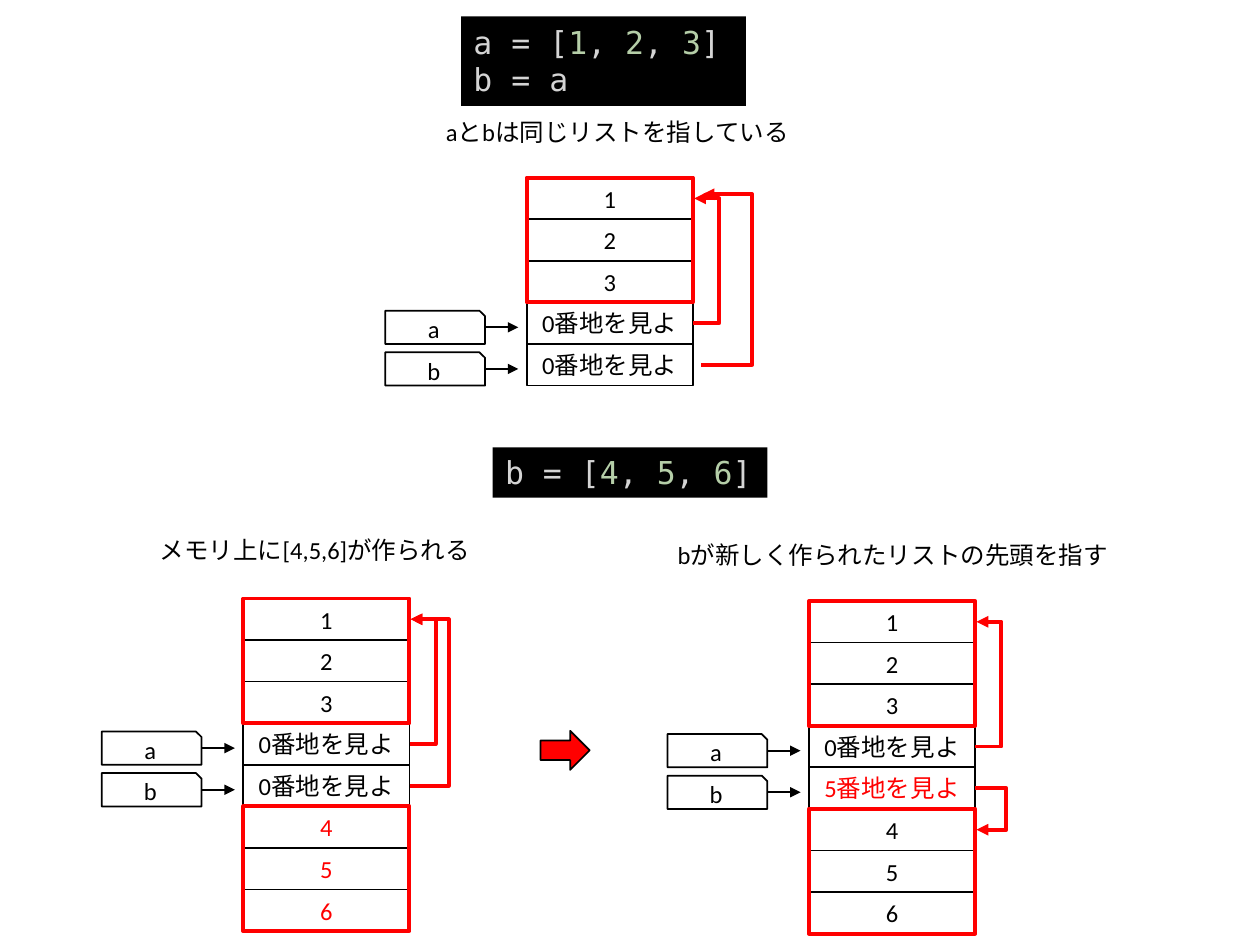
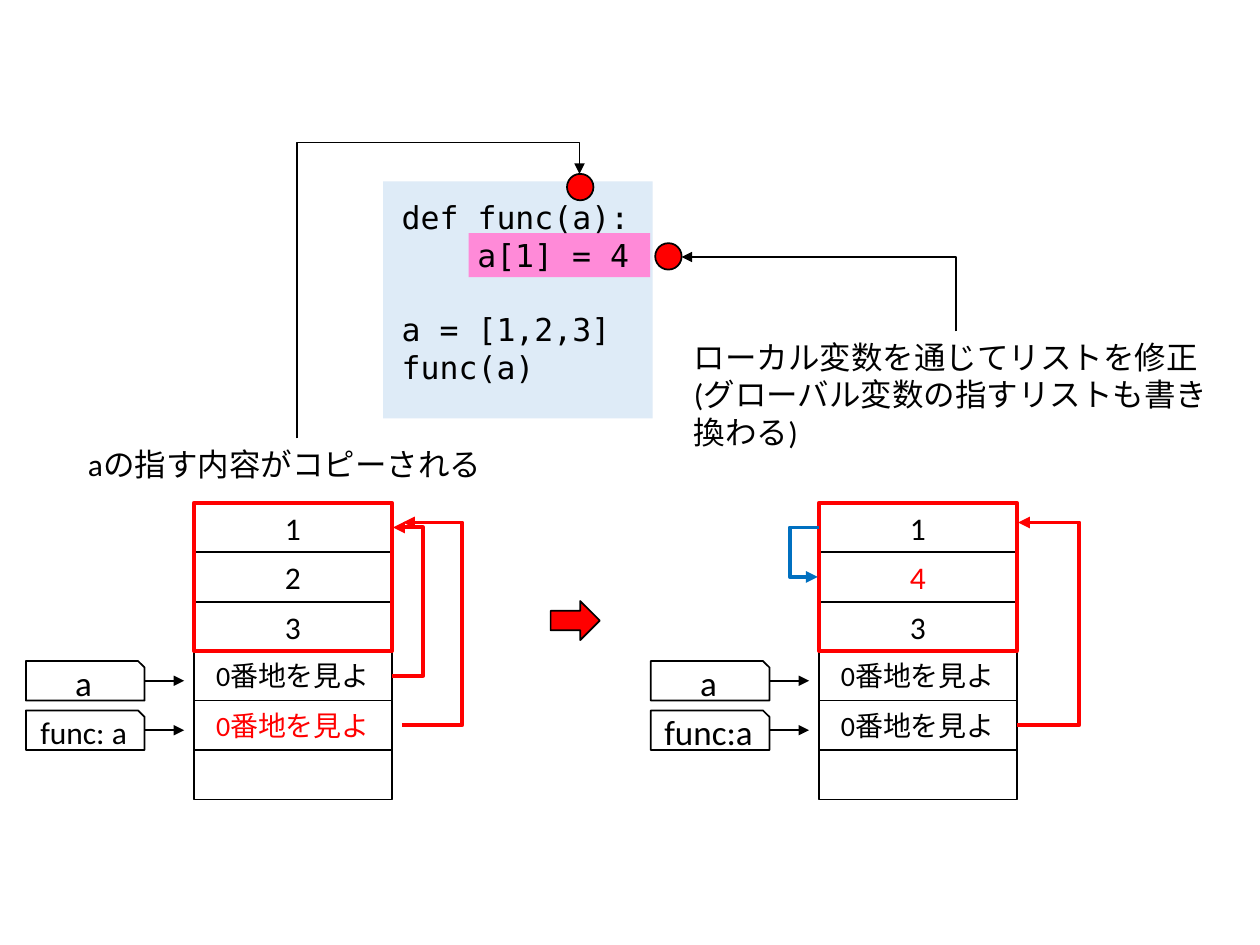
from itertools import groupby

from lxml.etree import SubElement
from pptx import Presentation
from pptx.dml.color import RGBColor
from pptx.enum.shapes import MSO_CONNECTOR, MSO_SHAPE
from pptx.enum.text import MSO_ANCHOR, PP_ALIGN
from pptx.oxml.ns import qn
from pptx.util import Inches, Pt

BLACK, WHITE, RED, BLUE = "000000", "FFFFFF", "FF0000", "0070C0"
CODE_TEXT, CODE_NUMBER = "D4D4D4", "B5CEA8"
CODE_PANEL, CODE_HIGHLIGHT = "DEEBF7", "FF8AD8"
BODY_FONT, CODE_FONT = "Calibri", "DejaVu Sans Mono"
THIN, THICK = 1, 2.25

ROW = 0.25
TAG_LEFT, TAG_WIDTH, TAG_HEIGHT, TAG_DROP = 0.85, 0.6, 0.2, 0.05
ARROW_GAP = 0.05
POINTER_SHIFT, POINTER_LIFT = 0.05, 0.025
ELBOW_RUN = 0.01
VERTICAL_ROTATION = 270 * 60000


def color(value):
    return RGBColor.from_string(value)


def add_run(paragraph, text, size, ink=BLACK, font=BODY_FONT):
    run = paragraph.add_run()
    run.text = text
    run.font.size = Pt(size)
    run.font.name = font
    run.font.color.rgb = color(ink)


def add_box(slide, preset, left, top, width, height, fill=None, line=None, weight=THIN):
    shape = slide.shapes.add_shape(preset, *map(Inches, (left, top, width, height)))
    shape.shadow.inherit = False
    if fill:
        shape.fill.solid()
        shape.fill.fore_color.rgb = color(fill)
    else:
        shape.fill.background()
    if line:
        shape.line.color.rgb = color(line)
        shape.line.width = Pt(weight)
    else:
        shape.line.fill.background()
    return shape


def write_centered(shape, text, size, ink=BLACK):
    frame = shape.text_frame
    frame.word_wrap = False
    frame.vertical_anchor = MSO_ANCHOR.MIDDLE
    paragraph = frame.paragraphs[0]
    paragraph.alignment = PP_ALIGN.CENTER
    add_run(paragraph, text, size, ink)


def start_lines(frame, lines):
    frame.word_wrap = True
    frame.vertical_anchor = MSO_ANCHOR.TOP
    for index, line in enumerate(lines):
        paragraph = frame.add_paragraph() if index else frame.paragraphs[0]
        paragraph.alignment = PP_ALIGN.LEFT
        yield paragraph, line


def add_text(slide, left, top, width, height, lines, size, font=BODY_FONT):
    box = slide.shapes.add_textbox(*map(Inches, (left, top, width, height)))
    for paragraph, line in start_lines(box.text_frame, lines):
        add_run(paragraph, line, size, font=font)
    return box


def add_dark_code(slide, left, top, width, height, lines):
    box = add_box(slide, MSO_SHAPE.RECTANGLE, left, top, width, height, BLACK)
    for paragraph, line in start_lines(box.text_frame, lines):
        for is_number, characters in groupby(line, str.isdigit):
            ink = CODE_NUMBER if is_number else CODE_TEXT
            add_run(paragraph, "".join(characters), 18, ink, CODE_FONT)


def style_arrow(connector, ink, weight):
    connector.line.color.rgb = color(ink)
    connector.line.width = Pt(weight)
    tail = SubElement(connector.line._get_or_add_ln(), qn("a:tailEnd"))
    tail.set("type", "triangle")
    SubElement(connector._element.spPr, qn("a:effectLst"))


def add_elbow(slide, start, end, bend=None, vertical=False, ink=BLACK, weight=THIN):
    axis = 1 if vertical else 0
    begin, finish = start, end
    if vertical:
        middle_x, middle_y = ((a + b) / 2 for a, b in zip(start, end))
        begin, finish = (
            (middle_x - (y - middle_y), middle_y + (x - middle_x)) for x, y in (start, end)
        )
    connector = slide.shapes.add_connector(
        MSO_CONNECTOR.ELBOW, *map(Inches, (*begin, *finish))
    )
    properties = connector._element.spPr
    if vertical:
        properties.find(qn("a:xfrm")).set("rot", str(VERTICAL_ROTATION))
    geometry = properties.find(qn("a:prstGeom"))
    if bend is None:
        geometry.set("prst", "bentConnector2")
    else:
        share = (bend - start[axis]) / (end[axis] - start[axis])
        guides = geometry.find(qn("a:avLst"))
        guide = SubElement(guides, qn("a:gd"))
        guide.set("name", "adj1")
        guide.set("fmla", f"val {round(share * 100000)}")
    style_arrow(connector, ink, weight)


class Memory:
    def __init__(self, slide, left, top, width, fill=None):
        self.slide, self.left, self.top = slide, left, top
        self.width, self.fill = width, fill

    def row_top(self, row):
        return self.top + row * ROW * self.width

    def add_cells(self, texts, sizes, red_rows=()):
        for row, text in enumerate(texts):
            cell = add_box(self.slide, MSO_SHAPE.RECTANGLE, self.left, self.row_top(row),
                           self.width, ROW * self.width, self.fill, BLACK)
            if text:
                size = sizes[0] if len(text) == 1 else sizes[1]
                write_centered(cell, text, size, RED if row in red_rows else BLACK)

    def add_list_frame(self, first_row):
        add_box(self.slide, MSO_SHAPE.RECTANGLE, self.left, self.row_top(first_row),
                self.width, 3 * ROW * self.width, line=RED, weight=THICK)

    def add_tag(self, row, name, size):
        unit = self.width
        top = self.row_top(row) + TAG_DROP * unit
        tag = add_box(self.slide, MSO_SHAPE.SNIP_1_RECTANGLE, self.left - TAG_LEFT * unit, top,
                      TAG_WIDTH * unit, TAG_HEIGHT * unit, self.fill, BLACK)
        write_centered(tag, name, size)
        middle = Inches(top + TAG_HEIGHT * unit / 2)
        arrow = self.slide.shapes.add_connector(
            MSO_CONNECTOR.STRAIGHT, tag.left + tag.width, middle,
            Inches(self.left - ARROW_GAP * unit), middle)
        arrow.begin_connect(tag, 3)
        style_arrow(arrow, BLACK, THIN)

    def add_pointer(self, source, target, reach, shift=0, lift=0, ink=RED):
        unit = self.width
        side = 1 if reach > 0 else -1
        edge = self.left + (unit if reach > 0 else 0)
        start_x = edge + shift * unit
        center = ROW * unit / 2
        add_elbow(self.slide, (start_x, self.row_top(source) + center),
                  (start_x + side * ELBOW_RUN, self.row_top(target) + center - lift * unit),
                  edge + reach * unit, ink=ink, weight=THICK)


def add_step_arrow(slide, left, top):
    add_box(slide, MSO_SHAPE.RIGHT_ARROW, left, top, 0.39, 0.31, RED, BLACK)


def build_reassignment(slide):
    add_dark_code(slide, 3.66, 0.13, 2.26, 0.71, ["a = [1, 2, 3]", "b = a"])
    add_dark_code(slide, 3.91, 3.55, 2.18, 0.4, ["b = [4, 5, 6]"])
    add_text(slide, 3.44, 0.88, 2.99, 0.34, ["aとbは同じリストを指している"], 14)
    add_text(slide, 1.17, 4.2, 2.99, 0.34, ["メモリ上に[4,5,6]が作られる"], 14)
    add_text(slide, 5.28, 4.24, 3.75, 0.34, ["bが新しく作られたリストの先頭を指す"], 14)

    first_list, second_list = ["1", "2", "3"], ["4", "5", "6"]
    shared = first_list + ["0番地を見よ"] * 2
    moved = first_list + ["0番地を見よ", "5番地を見よ"] + second_list
    states = [
        (4.18, 1.41, shared, (), (4, 0, 0.36, POINTER_SHIFT, POINTER_LIFT)),
        (1.93, 4.75, shared + second_list, (5, 6, 7), (4, 0, 0.24)),
        (6.42, 4.77, moved, (4,), (4, 5, 0.19)),
    ]
    for left, top, texts, red_rows, b_pointer in states:
        memory = Memory(slide, left, top, 1.32)
        memory.add_cells(texts, (14, 14), red_rows)
        for first_row in range(0, len(texts) - 2, 5):
            memory.add_list_frame(first_row)
        for row, name in enumerate("ab", start=3):
            memory.add_tag(row, name, 14)
        memory.add_pointer(3, 0, 0.16)
        memory.add_pointer(*b_pointer)
    add_step_arrow(slide, 4.29, 5.8)


def build_function_call(slide):
    add_box(slide, MSO_SHAPE.RECTANGLE, 3.04, 1.44, 2.14, 1.88, CODE_PANEL)
    add_box(slide, MSO_SHAPE.RECTANGLE, 3.72, 1.85, 1.44, 0.35, CODE_HIGHLIGHT)
    code = add_text(slide, 3.09, 1.52, 2.63, 1.62,
                    ["def func(a):", "a[1] = 4", "a = [1,2,3]", "func(a)"], 18, CODE_FONT)
    body, assignment = code.text_frame.paragraphs[1:3]
    body._p.get_or_add_pPr().set("marL", str(Inches(0.6)))
    assignment.space_before = Pt(21)

    add_text(slide, 0.6, 3.48, 3.54, 0.4, ["aの指す内容がコピーされる"], 18)
    add_text(slide, 5.41, 2.63, 4.36, 1.01,
             ["ローカル変数を通じてリストを修正", "(グローバル変数の指すリストも書き換わる)"], 18)
    for left, top in ((4.5, 1.38), (5.2, 1.93)):
        add_box(slide, MSO_SHAPE.OVAL, left, top, 0.21, 0.21, RED, BLACK)
    add_elbow(slide, (2.36, 3.48), (4.6, 1.38), 1.13, vertical=True)
    add_elbow(slide, (7.59, 2.63), (5.41, 2.04), vertical=True)

    states = [
        (1.54, "2", 4, "func: a", 18),
        (6.5, "4", 1, "func:a", 20),
    ]
    memories = []
    for left, second_item, red_row, local_name, local_size in states:
        memory = Memory(slide, left, 3.99, 1.57, WHITE)
        memory.add_cells(["1", second_item, "3", "0番地を見よ", "0番地を見よ", ""],
                         (18, 16), (red_row,))
        memory.add_list_frame(0)
        memory.add_tag(3, "a", 20)
        memory.add_tag(4, local_name, local_size)
        memories.append(memory)
    before, after = memories
    before.add_pointer(3, 0, 0.16)
    before.add_pointer(4, 0, 0.36, POINTER_SHIFT, POINTER_LIFT)
    after.add_pointer(4, 0, 0.32, lift=POINTER_LIFT)
    after.add_pointer(0, 1, -0.15, ink=BLUE)
    add_step_arrow(slide, 4.37, 4.77)


def main():
    presentation = Presentation()
    presentation.slide_width, presentation.slide_height = Inches(10), Inches(7.5)
    for build in (build_reassignment, build_function_call):
        build(presentation.slides.add_slide(presentation.slide_layouts[6]))
    presentation.save("out.pptx")


if __name__ == "__main__":
    main()
